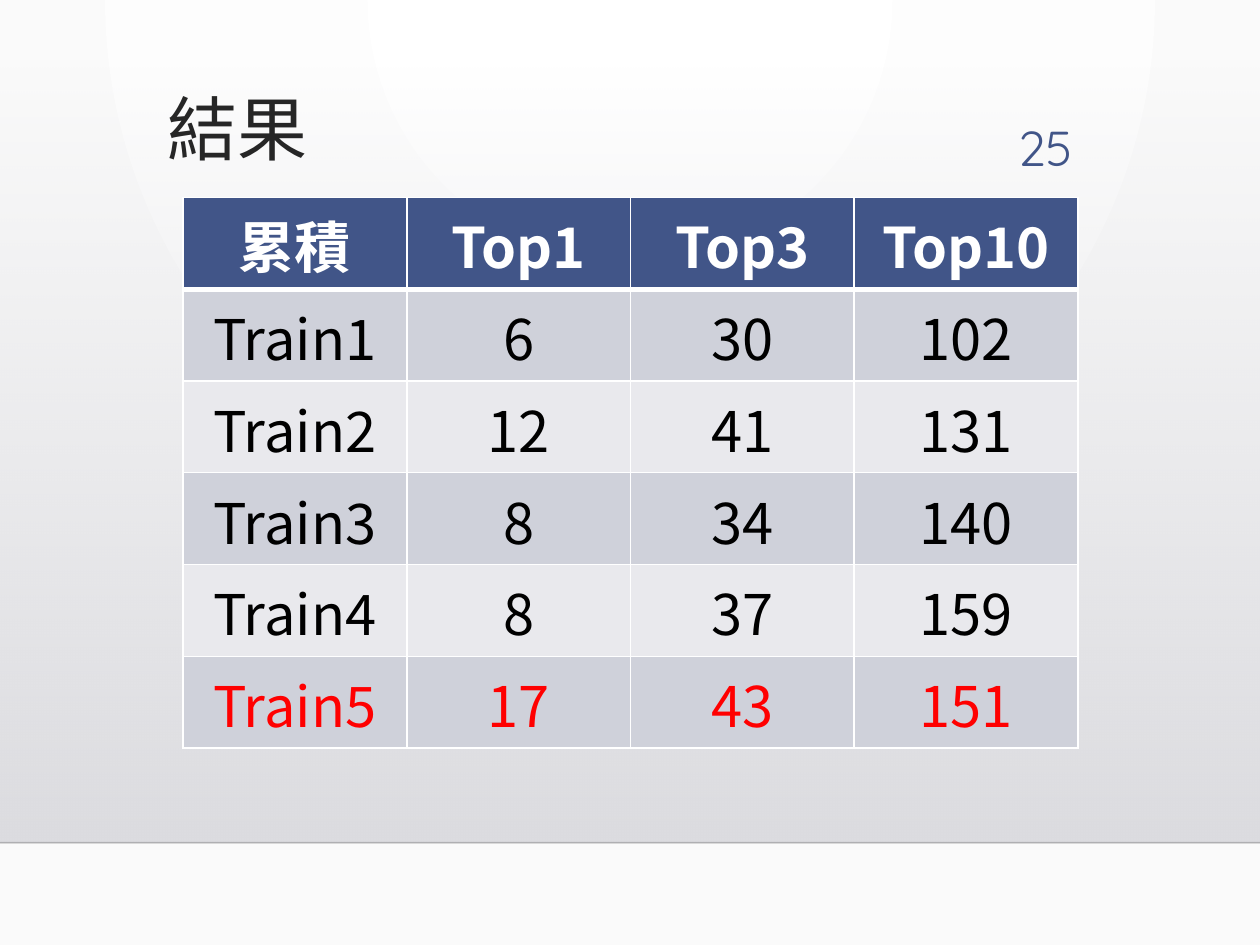
from typing import NamedTuple

from lxml import etree
from pptx import Presentation
from pptx.dml.color import RGBColor
from pptx.enum.shapes import MSO_CONNECTOR, MSO_SHAPE
from pptx.enum.text import MSO_ANCHOR, PP_ALIGN
from pptx.oxml import parse_xml
from pptx.oxml.ns import nsdecls, qn
from pptx.util import Cm, Pt

STRAIGHT = MSO_CONNECTOR.STRAIGHT
RECTANGLE = MSO_SHAPE.RECTANGLE
TOP, MIDDLE = MSO_ANCHOR.TOP, MSO_ANCHOR.MIDDLE
LEFT, CENTER, RIGHT = PP_ALIGN.LEFT, PP_ALIGN.CENTER, PP_ALIGN.RIGHT

COLORS = {
    "title": "262626", "accent": "415588", "white": "FFFFFF",
    "edge": "FAFAFA", "band_top": "DCDCE0", "band_bottom": "DEDEE2",
    "floor": "000001", "row_dark": "CFD1DA", "row_light": "E9E9ED",
    "text": "000000", "best": "FF0000",
}
CJK_FONT = "Noto Sans CJK JP"
NUMBER_FONT = "Quicksand"

SLIDE_WIDTH, SLIDE_HEIGHT = Cm(25.4), Cm(19.05)
BAND_TOP, FLOOR_Y = Cm(1.3), Cm(16.99)
COLUMN_WIDTH, ROW_HEIGHT = Cm(4.51), Cm(1.85)


class TextStyle(NamedTuple):
    font: str
    size: int
    color: str
    align: PP_ALIGN
    bold: bool = False


class Result(NamedTuple):
    label: str
    top1: str
    top3: str
    top10: str


HEADER = Result("累積", "Top1", "Top3", "Top10")
RESULTS = [
    Result("Train1", "6", "30", "102"),
    Result("Train2", "12", "41", "131"),
    Result("Train3", "8", "34", "140"),
    Result("Train4", "8", "37", "159"),
    Result("Train5", "17", "43", "151"),
]
BEST = RESULTS[-1]


def rgb(name: str) -> RGBColor:
    return RGBColor.from_string(COLORS[name])


def write(frame, text: str, style: TextStyle) -> None:
    frame.text = text
    paragraph = frame.paragraphs[0]
    paragraph.alignment = style.align
    run = paragraph.runs[0]
    run.font.name = style.font
    run.font.size = Pt(style.size)
    run.font.bold = style.bold
    run.font.color.rgb = rgb(style.color)
    east_asian = etree.SubElement(run.font._element, qn("a:ea"))
    east_asian.set("typeface", style.font)


def set_alpha(color_element, percent: int) -> None:
    alpha = etree.SubElement(color_element, qn("a:alpha"))
    alpha.set("val", str(percent * 1000))


def paint_background(slide) -> None:
    fill = slide.background.fill
    fill.gradient()
    for stop, name in zip(fill.gradient_stops, ("white", "edge")):
        stop.color.rgb = rgb(name)
    gradient = slide._element.find(".//" + qn("a:gradFill"))
    gradient.replace(gradient.find(qn("a:lin")), parse_xml(
        f'<a:path {nsdecls("a")} path="circle">'
        '<a:fillToRect l="43000" r="43000" b="100000"/></a:path>'))


def add_band(slide) -> None:
    band = slide.shapes.add_shape(
        RECTANGLE, 0, BAND_TOP, SLIDE_WIDTH, FLOOR_Y - BAND_TOP)
    band.shadow.inherit = False
    band.line.fill.background()
    band.fill.gradient()
    band.fill.gradient_angle = 270
    for stop, name in zip(band.fill.gradient_stops, ("band_top", "band_bottom")):
        stop.color.rgb = rgb(name)
    set_alpha(band._element.find(".//" + qn("a:srgbClr")), 0)


def add_floor_line(slide) -> None:
    floor = slide.shapes.add_connector(STRAIGHT, 0, FLOOR_Y, SLIDE_WIDTH, FLOOR_Y)
    floor.line.width = Pt(1)
    floor.line.color.rgb = rgb("floor")
    set_alpha(floor._element.find(".//" + qn("a:srgbClr")), 20)
    etree.SubElement(floor._element.spPr, qn("a:effectLst"))


def add_title(slide, text: str) -> None:
    title = slide.shapes.title
    title.left, title.top = Cm(3.12), Cm(1.78)
    title.width, title.height = Cm(4.6), Cm(2.18)
    title.text_frame.vertical_anchor = TOP
    write(title.text_frame, text, TextStyle(CJK_FONT, 40, "title", LEFT))
    title.text_frame.paragraphs[0].line_spacing = 0.9
    # The title belongs in front of the band
    slide.shapes._spTree.append(title._element)


def add_page_number(slide, number: str) -> None:
    box = slide.shapes.add_textbox(Cm(19.66), Cm(2.26), Cm(2.21), Cm(1.4))
    box.text_frame.word_wrap = True
    box.text_frame.vertical_anchor = MIDDLE
    write(box.text_frame, number, TextStyle(NUMBER_FONT, 28, "accent", RIGHT))


def set_borders(cell, top: int, bottom: int) -> None:
    properties = cell._tc.get_or_add_tcPr()
    for side, points in (("L", 1), ("R", 1), ("T", top), ("B", bottom)):
        properties.append(parse_xml(
            f'<a:ln{side} {nsdecls("a")} w="{Pt(points)}"><a:solidFill>'
            f'<a:srgbClr val="{COLORS["white"]}"/></a:solidFill></a:ln{side}>'))


def add_results_table(slide) -> None:
    rows = [HEADER, *RESULTS]
    table = slide.shapes.add_table(
        len(rows), len(HEADER), Cm(3.69), Cm(3.98),
        COLUMN_WIDTH * len(HEADER), ROW_HEIGHT * len(rows)).table
    for column in table.columns:
        column.width = COLUMN_WIDTH
    for index, result in enumerate(rows):
        table.rows[index].height = ROW_HEIGHT
        is_header = index == 0
        if is_header:
            fill, color = "accent", "white"
        else:
            fill = "row_dark" if index % 2 else "row_light"
            color = "best" if result is BEST else "text"
        style = TextStyle(CJK_FONT, 32, color, CENTER, is_header)
        for cell, value in zip(table.rows[index].cells, result):
            set_borders(cell, 3 if index == 1 else 1, 3 if is_header else 1)
            cell.fill.solid()
            cell.fill.fore_color.rgb = rgb(fill)
            write(cell.text_frame, value, style)


def main() -> None:
    presentation = Presentation()
    presentation.slide_width, presentation.slide_height = SLIDE_WIDTH, SLIDE_HEIGHT
    slide = presentation.slides.add_slide(presentation.slide_layouts[5])

    # Backdrop
    paint_background(slide)
    add_band(slide)
    add_floor_line(slide)

    # Content
    add_title(slide, "結果")
    add_page_number(slide, "25")
    add_results_table(slide)

    presentation.save("out.pptx")


if __name__ == "__main__":
    main()
